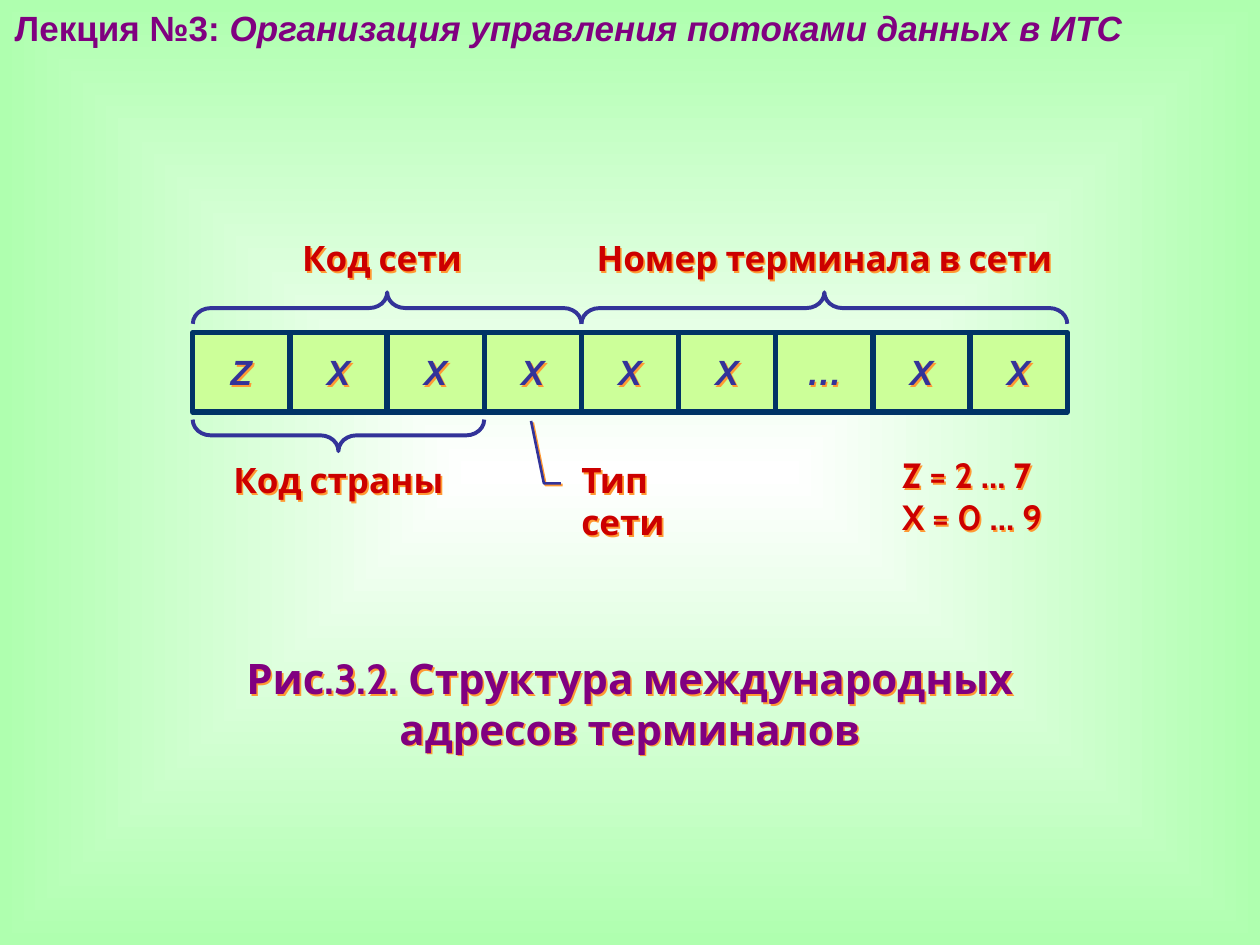
from lxml import etree
from pptx import Presentation
from pptx.dml.color import RGBColor
from pptx.enum import shapes, text
from pptx.oxml import parse_xml
from pptx.oxml.ns import nsdecls, qn
from pptx.util import Inches, Pt

RED, PURPLE, INDIGO, NAVY, ORANGE = "CC0000", "800080", "333399", "003366", "FF9933"
CELLS = ["Z", "X", "X", "X", "X", "X", "…", "X", "X"]
CENTER, LEFT = text.PP_ALIGN.CENTER, text.PP_ALIGN.LEFT


def color(value):
    return RGBColor.from_string(value)


def add_shadow(shape):
    properties = shape._element.spPr
    for effects in properties.findall(qn("a:effectLst")):
        properties.remove(effects)
    properties.append(parse_xml(
        f'<a:effectLst {nsdecls("a")}><a:outerShdw dist="{Pt(1.4)}" dir="2700000" '
        f'algn="ctr" rotWithShape="0"><a:srgbClr val="{ORANGE}"/>'
        '</a:outerShdw></a:effectLst>'))


def write_lines(shape, lines, font_name, size, font_color, align=CENTER, italic=None):
    frame = shape.text_frame
    frame.word_wrap = True
    frame.vertical_anchor = text.MSO_ANCHOR.TOP
    frame.margin_left = frame.margin_right = frame.margin_top = frame.margin_bottom = 0
    frame.text = "\n".join(lines)
    for paragraph in frame.paragraphs:
        paragraph.alignment = align
        font = paragraph.font
        font.name, font.size, font.bold, font.italic = font_name, Pt(size), True, italic
        font.color.rgb = color(font_color)


def add_label(slide, box, lines, size=20, font_color=RED, align=CENTER,
              font_name="Cabin", italic=None):
    label = slide.shapes.add_textbox(*map(Inches, box))
    write_lines(label, lines, font_name, size, font_color, align, italic)
    add_shadow(label)
    return label


def set_background(slide):
    fill = slide.background.fill
    fill.gradient()
    for stop, (position, value) in zip(fill.gradient_stops, [(0, "FFFFFF"), (1, "AFFFAF")]):
        stop.position = position
        stop.color.rgb = color(value)
    gradient = next(slide.element.iter(qn("a:gradFill")))
    gradient.remove(gradient.find(qn("a:lin")))
    shade = etree.SubElement(gradient, qn("a:path"), {"path": "shape"})
    etree.SubElement(shade, qn("a:fillToRect"), dict.fromkeys("ltrb", "50000"))


def add_header(slide, box):
    header = slide.shapes.add_textbox(*map(Inches, box))
    frame = header.text_frame
    frame.word_wrap = True
    frame.auto_size = text.MSO_AUTO_SIZE.SHAPE_TO_FIT_TEXT
    paragraph = frame.paragraphs[0]
    paragraph.alignment = CENTER
    font = paragraph.font
    font.name, font.size, font.bold = "Arial", Pt(20), True
    font.color.rgb = color(PURPLE)
    paragraph.add_run().text = "Лекция №3: "
    topic = paragraph.add_run()
    topic.text = "Организация управления потоками данных в ИТС "
    topic.font.italic = True


def add_address_row(slide, box):
    left, top, width, height = box
    pitch = width / len(CELLS)
    frame = slide.shapes.add_shape(shapes.MSO_SHAPE.RECTANGLE, *map(Inches, box))
    frame.shadow.inherit = False
    frame.fill.solid()
    frame.fill.fore_color.rgb = color("CCFF99")
    frame.line.color.rgb = color(NAVY)
    frame.line.width = Pt(3)
    for index, symbol in enumerate(CELLS):
        x = left + index * pitch
        if index:
            divider = slide.shapes.add_connector(
                shapes.MSO_CONNECTOR.STRAIGHT,
                Inches(x), Inches(top), Inches(x), Inches(top + height))
            divider.line.color.rgb = color(NAVY)
            divider.line.width = Pt(3)
            etree.SubElement(divider._element.spPr, qn("a:effectLst"))
        cell = add_label(slide, (x, top + 0.18, pitch, 0.31), [symbol],
                         font_color=INDIGO, font_name="Arial", italic=True)
        cell.text_frame.paragraphs[0].line_spacing = 0.9


def add_brace(slide, box, rotation):
    """Draw a horizontal brace filling the box: 90 points up, 270 points down."""
    left, top, width, height = box
    brace = slide.shapes.add_shape(
        shapes.MSO_SHAPE.LEFT_BRACE,
        Inches(left + (width - height) / 2), Inches(top + (height - width) / 2),
        Inches(height), Inches(width))
    brace.rotation = rotation
    brace.adjustments[0] = 0.57
    brace.shadow.inherit = False
    brace.fill.background()
    brace.line.color.rgb = color(INDIGO)
    brace.line.width = Pt(2.25)


def add_network_type(slide, box):
    callout = slide.shapes.add_shape(
        shapes.MSO_SHAPE.LINE_CALLOUT_2_NO_BORDER, *map(Inches, box))
    for index, value in enumerate([0.632, -0.132, 0.632, -0.242, -0.968, -0.325]):
        callout.adjustments[index] = value
    callout.fill.background()
    callout.line.color.rgb = color(INDIGO)
    callout.line.width = Pt(1.5)
    write_lines(callout, ["Тип сети"], "Cabin", 20, RED, LEFT)
    add_shadow(callout)


def add_address_diagram(slide, box):
    left, top, width, height = box
    pitch = width / len(CELLS)
    bottom = top + height
    add_address_row(slide, box)

    # Braces with their captions: first cell, cell count, caption
    for first, count, caption in [(0, 4, "Код сети"), (4, 5, "Номер терминала в сети")]:
        x, span = left + first * pitch, count * pitch
        add_brace(slide, (x, top - 0.32, span, 0.25), 90)
        # The network caption sits slightly left of its brace's centre
        shift = 0.04 if first == 0 else 0
        add_label(slide, (x - shift, top - 0.76, span, 0.38), [caption])
    add_brace(slide, (left, bottom + 0.06, 3 * pitch, 0.25), 270)
    add_label(slide, (left, bottom + 0.37, 3 * pitch, 0.31), ["Код страны"])

    # Fourth digit and the ranges of the symbols
    add_network_type(slide, (left + 4 * pitch, bottom + 0.37, 1.23, 0.31))
    add_label(slide, (7.16, bottom + 0.33, 1.53, 0.57),
              ["Z = 2 … 7", "X = 0 … 9"], align=LEFT)


def main():
    presentation = Presentation()
    presentation.slide_width, presentation.slide_height = Inches(10), Inches(7.5)
    slide = presentation.slides.add_slide(presentation.slide_layouts[6])
    set_background(slide)
    add_header(slide, (0, 0, 9.03, 0.43))
    add_address_diagram(slide, (1.53, 2.64, 6.94, 0.63))
    # Figure caption
    add_label(slide, (1.53, 5.18, 6.94, 0.79),
              ["Рис.3.2. Структура международных", "адресов терминалов"],
              size=24, font_color=PURPLE)
    presentation.save("out.pptx")


if __name__ == "__main__":
    main()
